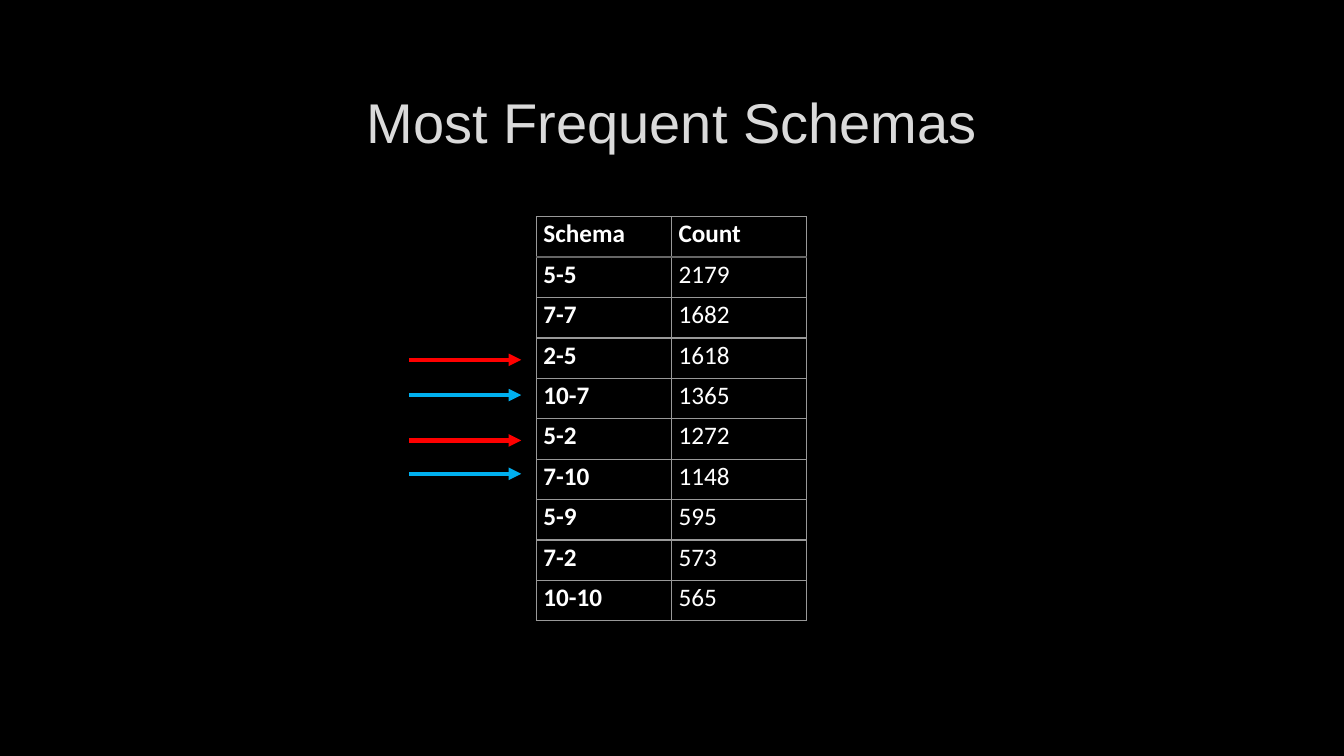
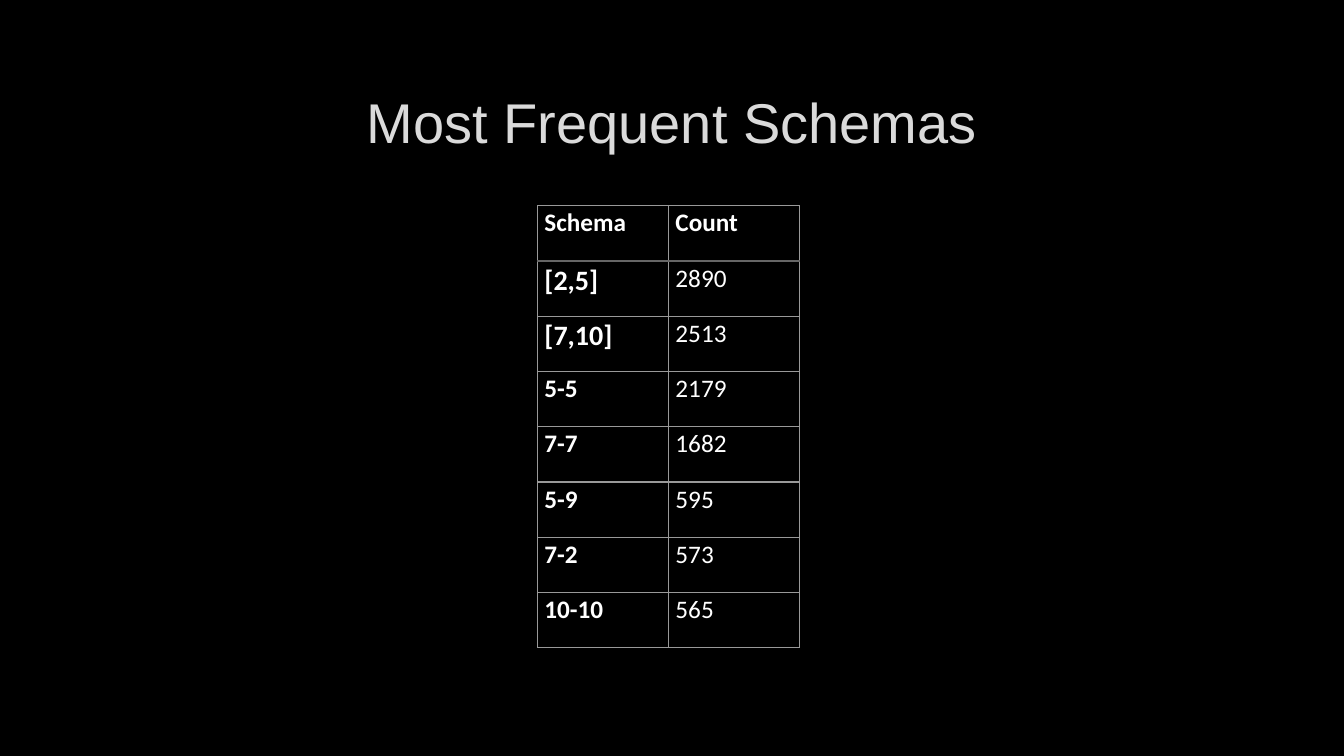
from lxml.etree import SubElement as Sub
from pptx import Presentation
from pptx.dml.color import RGBColor
from pptx.enum.shapes import MSO_CONNECTOR as Link
from pptx.enum.text import MSO_ANCHOR as Anchor, PP_ALIGN as Align
from pptx.oxml.ns import qn
from pptx.util import Inches, Pt

BLACK, WHITE, PALE = "000000", "FFFFFF", "DADADA"
GRID, RULE, RED, BLUE = "999999", "666666", "FF0000", "00B0F0"
TITLE = "Most Frequent Schemas"
HEAD = ("Schema", "Count")
SLIDES = [
    {
        "box": (5.32, 2.15, 2.68, 4.01),
        "rows": [("5-5", 2179), ("7-7", 1682), ("2-5", 1618), ("10-7", 1365),
                 ("5-2", 1272), ("7-10", 1148), ("5-9", 595), ("7-2", 573),
                 ("10-10", 565)],
        "arrows": [(3.57, RED), (4.37, RED), (3.92, BLUE), (4.7, BLUE)],
    },
    {
        "box": (5.33, 2.04, 2.6, 4.39),
        "rows": [("[2,5]", 2890), ("[7,10]", 2513), ("5-5", 2179),
                 ("7-7", 1682), ("5-9", 595), ("7-2", 573), ("10-10", 565)],
        "arrows": [],
    },
]


def color(code):
    """Turn a hex string into a colour."""
    return RGBColor.from_string(code)


def write(frame, text, size=18, face="Calibri", tint=WHITE, bold=False,
          align=Align.LEFT, space=1.0):
    """Put formatted text in a text frame."""
    para = frame.paragraphs[0]
    para.alignment, para.line_spacing = align, space
    run = para.add_run()
    run.text = text
    font = run.font
    font.name, font.size, font.bold = face, Pt(size), bold
    font.color.rgb = color(tint)


def add_title(slide):
    """Add the shared title."""
    box = slide.shapes.add_textbox(Inches(1), Inches(0.67), Inches(11.32), Inches(1.06))
    frame = box.text_frame
    frame.word_wrap, frame.vertical_anchor = True, Anchor.MIDDLE
    write(frame, TITLE, size=40, face="Arial", tint=PALE, align=Align.CENTER)


def add_edge(cell, side, tint, width):
    """Draw one border of a cell."""
    line = Sub(cell._tc.get_or_add_tcPr(), qn("a:ln" + side), w=str(Pt(width)))
    Sub(Sub(line, qn("a:solidFill")), qn("a:srgbClr"), val=tint)


def style_cell(cell, row):
    """Set the insets, borders and fill of a cell."""
    cell.margin_left = cell.margin_right = Inches(0.07)
    cell.margin_top = cell.margin_bottom = 0
    rules = {"T": 1, "B": 0}
    for side in "LRTB":
        heavy = rules.get(side) == row
        add_edge(cell, side, RULE if heavy else GRID, 1.5 if heavy else 1)
    cell.fill.solid()
    cell.fill.fore_color.rgb = color(BLACK)


def add_grid(slide, box, rows):
    """Add the table of schemas and counts."""
    lines = [HEAD, *rows]
    left, top, width, height = map(Inches, box)
    table = slide.shapes.add_table(len(lines), len(HEAD), left, top, width, height).table
    table.first_row = table.horz_banding = False
    for r, line in enumerate(lines):
        for c, value in enumerate(line):
            cell, text = table.cell(r, c), str(value)
            style_cell(cell, r)
            write(cell.text_frame, text, size=20 if text.startswith("[") else 18,
                  bold=r == 0 or c == 0, space=1.07)


def add_arrow(slide, y, tint):
    """Add an arrow that points at a table row."""
    arrow = slide.shapes.add_connector(
        Link.STRAIGHT, Inches(4.06), Inches(y), Inches(5.17), Inches(y))
    arrow.line.color.rgb, arrow.line.width = color(tint), Pt(3)
    Sub(arrow.line._get_or_add_ln(), qn("a:tailEnd"), type="triangle")
    Sub(arrow._element.spPr, qn("a:effectLst"))


def main():
    """Build and save the deck."""
    deck = Presentation()
    deck.slide_width, deck.slide_height = Inches(13.33), Inches(7.5)
    back = deck.slide_master.background.fill
    back.solid()
    back.fore_color.rgb = color(BLACK)
    for data in SLIDES:
        slide = deck.slides.add_slide(deck.slide_layouts[6])
        add_title(slide)
        add_grid(slide, data["box"], data["rows"])
        for y, tint in data["arrows"]:
            add_arrow(slide, y, tint)
    deck.save("out.pptx")


if __name__ == "__main__":
    main()
